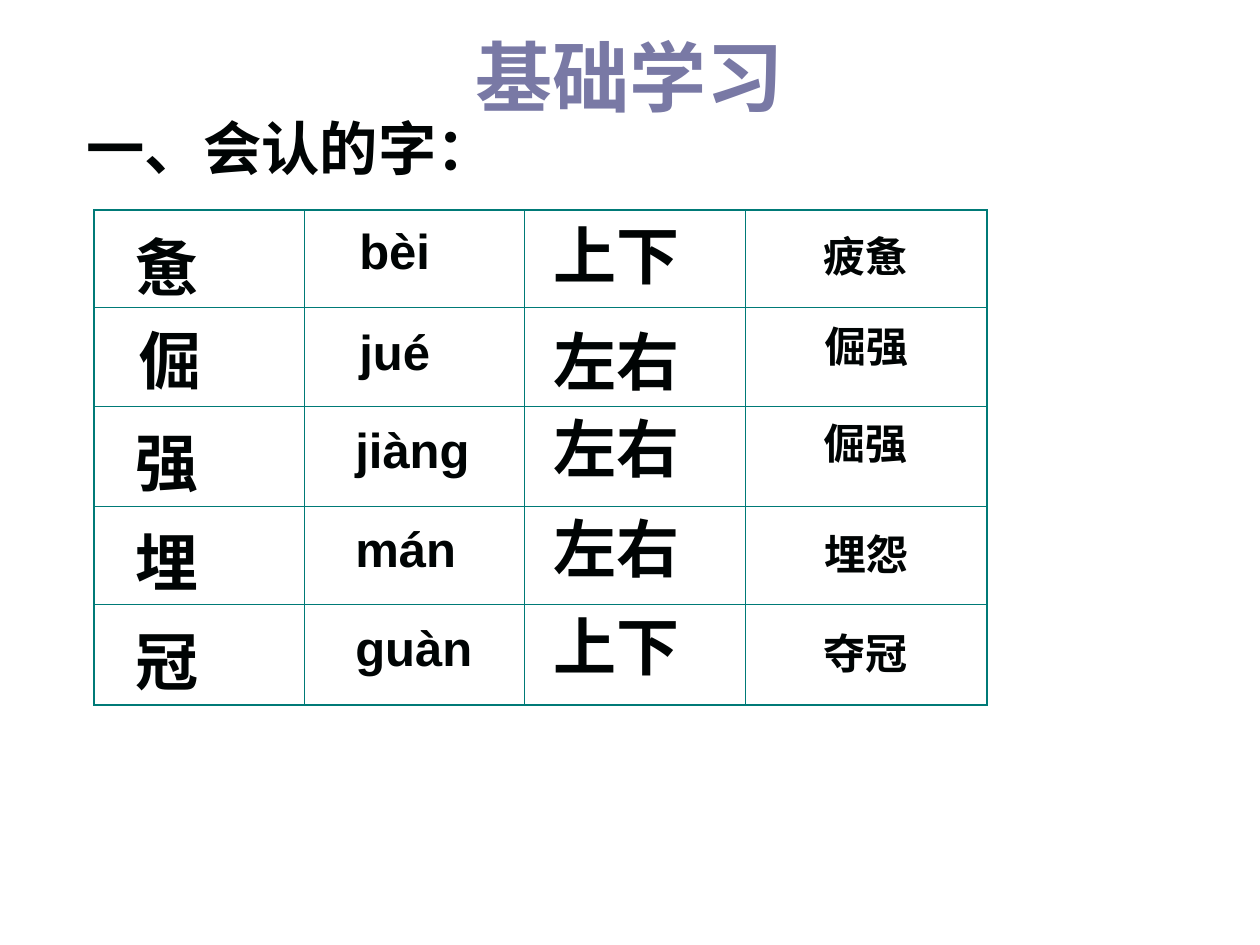
import pptx
import pptx.util
import pptx.dml.color
import pptx.enum.text
import pptx.oxml
import pptx.oxml.ns

PX = 914400 // 126
COLORS = {"title": "7979A5", "text": "000404", "border": "007A77"}
SERIF, SANS = "Times New Roman", "Arial"
LEFT = pptx.enum.text.PP_ALIGN.LEFT
CENTER = pptx.enum.text.PP_ALIGN.CENTER

# Headings: text, (left, top, width, height), size, colour, alignment, anchor
HEADINGS = [
    ("基础学习", (63, 21, 1134, 110), 44, "title", CENTER, "MIDDLE"),
    ("一、会认的字：", (74, 106, 704, 87), 33.3, "text", LEFT, "TOP"),
]

# Table grid
TABLE_LEFT, TABLE_TOP = 94, 210
COLUMN_WIDTHS = [210, 220, 221, 242]
ROW_HEIGHTS = [97, 99, 100, 99, 100]
OUTER_LINE, INNER_LINE = 1.08, 0.45

# Labels over the table, by column: text, left, top, width, font
COLUMNS = [
    {"size": 36, "height": 88, "align": LEFT, "labels": [
        ("惫", 123, 222, 129, SERIF), ("倔", 126, 315, 129, SERIF),
        ("强", 123, 417, 129, SERIF), ("埋", 123, 517, 129, SERIF),
        ("冠", 123, 616, 129, SERIF)]},
    {"size": 28, "height": 72, "align": LEFT, "labels": [
        ("bèi", 347, 214, 129, SANS), ("jué", 347, 315, 145, SANS),
        ("jiàng", 343, 413, 168, SANS), ("mán", 343, 512, 129, SANS),
        ("guàn", 343, 611, 186, SANS)]},
    {"size": 36, "height": 88, "align": LEFT, "labels": [
        ("上下", 541, 210, 179, SERIF), ("左右", 541, 316, 159, SANS),
        ("左右", 541, 403, 168, SANS), ("左右", 541, 503, 168, SANS),
        ("上下", 541, 601, 168, SANS)]},
    {"size": 24, "height": 63, "align": CENTER, "labels": [
        ("疲惫", 740, 224, 252, SERIF), ("倔强", 730, 314, 273, SANS),
        ("倔强", 740, 411, 252, SERIF), ("埋怨", 730, 522, 273, SANS),
        ("夺冠", 740, 621, 252, SERIF)]},
]


def add_text(slide, text, box, size, color, font, align, anchor="TOP"):
    shape = slide.shapes.add_textbox(*(value * PX for value in box))
    frame = shape.text_frame
    frame.word_wrap = True
    frame.vertical_anchor = pptx.enum.text.MSO_ANCHOR[anchor]
    paragraph = frame.paragraphs[0]
    paragraph.text = text
    paragraph.alignment = align
    paragraph.font.name = font
    paragraph.font.size = pptx.util.Pt(size)
    paragraph.font.bold = True
    paragraph.font.color.rgb = pptx.dml.color.RGBColor.from_string(COLORS[color])


def set_borders(cell, outer_sides):
    properties = cell._tc.get_or_add_tcPr()
    for index, side in enumerate("LRTB"):
        width = OUTER_LINE if side in outer_sides else INNER_LINE
        line = pptx.oxml.parse_xml(
            f'<a:ln{side} {pptx.oxml.ns.nsdecls("a")} w="{pptx.util.Pt(width)}">'
            f'<a:solidFill><a:srgbClr val="{COLORS["border"]}"/></a:solidFill>'
            f'</a:ln{side}>')
        properties.insert(index, line)


def add_grid(slide):
    rows, columns = len(ROW_HEIGHTS), len(COLUMN_WIDTHS)
    table = slide.shapes.add_table(
        rows, columns, TABLE_LEFT * PX, TABLE_TOP * PX,
        sum(COLUMN_WIDTHS) * PX, sum(ROW_HEIGHTS) * PX).table
    table.first_row = table.horz_banding = False
    for column, width in zip(table.columns, COLUMN_WIDTHS):
        column.width = width * PX
    for r, height in enumerate(ROW_HEIGHTS):
        table.rows[r].height = height * PX
        for c in range(columns):
            cell = table.cell(r, c)
            cell.fill.background()
            edges = {"L": c == 0, "R": c == columns - 1,
                     "T": r == 0, "B": r == rows - 1}
            set_borders(cell, [side for side, outer in edges.items() if outer])


def main():
    presentation = pptx.Presentation()
    presentation.slide_width = 1260 * PX
    presentation.slide_height = 945 * PX
    slide = presentation.slides.add_slide(presentation.slide_layouts[6])

    # Title and section heading
    for text, box, size, color, align, anchor in HEADINGS:
        add_text(slide, text, box, size, color, SANS, align, anchor)

    # Empty grid with the labels on top
    add_grid(slide)
    for column in COLUMNS:
        for text, left, top, width, font in column["labels"]:
            add_text(slide, text, (left, top, width, column["height"]),
                     column["size"], "text", font, column["align"])

    presentation.save("out.pptx")


if __name__ == "__main__":
    main()
